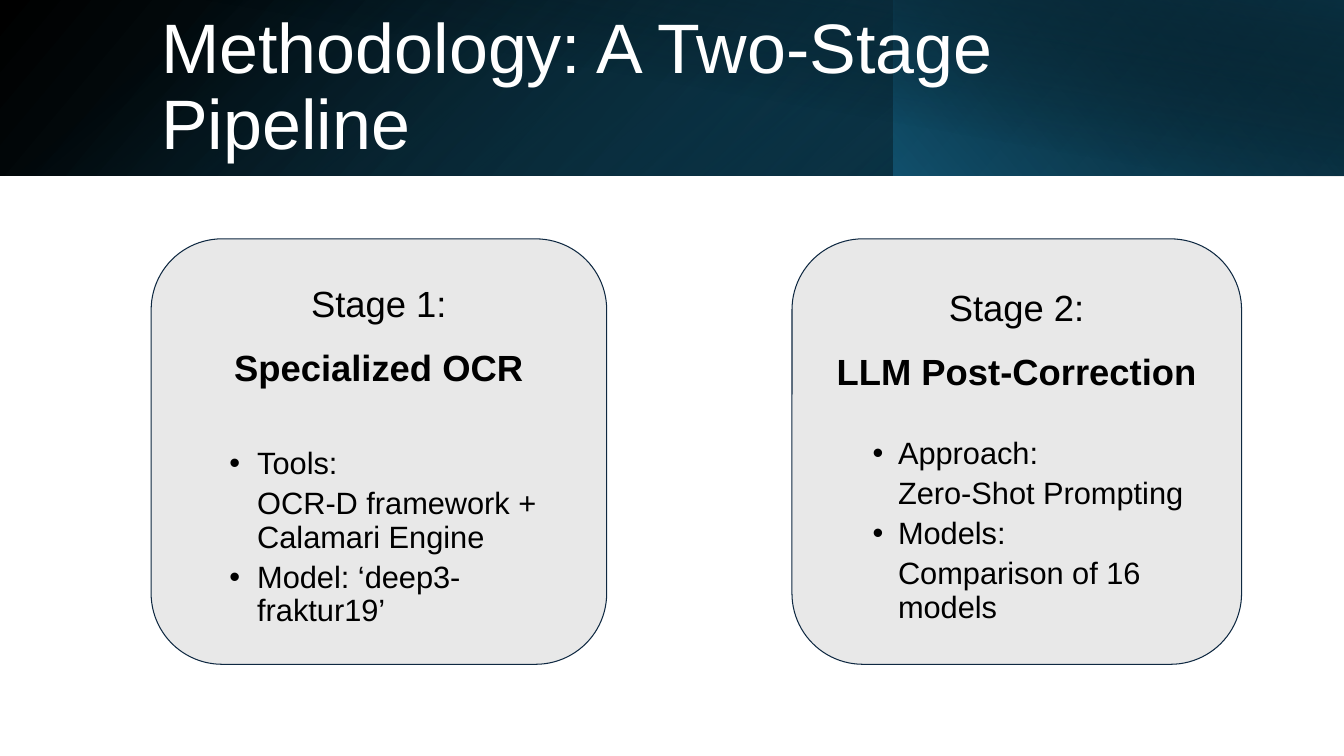
from lxml.etree import SubElement as Sub
from pptx import Presentation
from pptx.dml.color import RGBColor
from pptx.enum.shapes import MSO_SHAPE as Shape
from pptx.enum.text import MSO_ANCHOR as Anchor, MSO_AUTO_SIZE as Auto, PP_ALIGN as Align
from pptx.oxml.ns import qn
from pptx.util import Cm, Pt

WIDE, HIGH = 33.87, 19.05
TITLE = "Methodology: A Two-Stage Pipeline"
FONT = "Arial"

# left, width, height, angle, stops of (position, colour, opacity)
BANDS = [
    (0, WIDE, 4.42, 40, [(0, "000000", 100), (100, "0F4861", 100)]),
    (0, 22.55, 4.42, 50, [(0, "156082", 0), (20, "156082", 0), (100, "0A3041", 55)]),
    (22.53, 11.33, 4.42, 320, [(0, "156082", 66), (100, "000000", 30)]),
    (1.27, 32.6, 4.45, 280, [(0, "000000", 0), (50, "000000", 0), (100, "0A3041", 52)]),
]

# left, width, hanging indent, gap above the list, heading, lines of (bulleted, text)
STAGES = [
    (19.96, 11.33, 0.64, 32, ["Stage 2:", "LLM Post-Correction"], [
        (True, "Approach:"), (False, "Zero-Shot Prompting"),
        (True, "Models:"), (False, "Comparison of 16 models")]),
    (3.81, 11.48, 0.7, 42, ["Stage 1:", "Specialized OCR"], [
        (True, "Tools:"), (False, "OCR-D framework + Calamari Engine"),
        (True, "Model: ‘deep3-fraktur19’")]),
]


def rgb(code):
    return RGBColor.from_string(code)


def shade(shape, angle, stops):
    """Fill with a linear gradient whose stops may be transparent."""
    shape.fill.gradient()
    grad = shape.element.spPr.find(qn("a:gradFill"))
    for child in list(grad):
        grad.remove(child)
    ramp = Sub(grad, qn("a:gsLst"))
    for place, code, alpha in stops:
        stop = Sub(ramp, qn("a:gs"), pos=str(place * 1000))
        tone = Sub(stop, qn("a:srgbClr"), val=code)
        if alpha < 100:
            Sub(tone, qn("a:alpha"), val=str(alpha * 1000))
    Sub(grad, qn("a:lin"), ang=str(angle * 60000), scaled="0")


def indent(para, hang, bullet):
    props = para._p.get_or_add_pPr()
    props.set("marL", str(Cm(1.9)))
    props.set("indent", str(-Cm(hang) if bullet else 0))
    if bullet:
        tone = Sub(props, qn("a:buClr"))
        Sub(tone, qn("a:srgbClr"), val="000000")
        Sub(props, qn("a:buFont"), typeface=FONT)
        Sub(props, qn("a:buChar"), char="•")
    else:
        Sub(props, qn("a:buNone"))


def style(para, size, code, align, spacing, before=0, bold=False):
    para.alignment = align
    para.line_spacing = spacing
    para.space_before = Pt(before)
    font = para.font
    font.name, font.size, font.bold = FONT, Pt(size), bold
    font.color.rgb = rgb(code)


def add_band(slide, left, width, height, angle, stops):
    band = slide.shapes.add_shape(Shape.RECTANGLE, Cm(left), 0, Cm(width), Cm(height))
    band.shadow.inherit = False
    band.line.fill.background()
    shade(band, angle, stops)


def add_title(slide):
    title = slide.shapes.title
    title.left, title.top, title.width, title.height = Cm(3.81), Cm(0.81), Cm(27.48), Cm(2.87)
    title.element.getparent().append(title.element)  # in front of the bands
    frame = title.text_frame
    frame.text = TITLE
    frame.auto_size = Auto.NONE
    frame.vertical_anchor = Anchor.MIDDLE
    style(frame.paragraphs[0], 50, "FFFFFF", Align.LEFT, 0.9)


def add_stage(slide, left, width, hang, gap, heading, lines):
    card = slide.shapes.add_shape(
        Shape.ROUNDED_RECTANGLE, Cm(left), Cm(6.02), Cm(width), Cm(10.72))
    card.shadow.inherit = False
    card.fill.solid()
    card.fill.fore_color.rgb = rgb("E8E8E8")
    card.line.color.rgb = rgb("0E2841")
    card.line.width = Pt(0.75)
    frame = card.text_frame
    frame.word_wrap = True
    frame.vertical_anchor = Anchor.MIDDLE
    frame.margin_left = frame.margin_right = Cm(0.25)
    frame.margin_top = frame.margin_bottom = Cm(0.25)
    for i, text in enumerate(heading):
        para = frame.add_paragraph() if i else frame.paragraphs[0]
        para.text = text
        style(para, 26, "000000", Align.CENTER, 1.15, 10 * i, i == 1)
    for i, (bullet, text) in enumerate(lines):
        para = frame.add_paragraph()
        para.text = text
        indent(para, hang, bullet)
        style(para, 22, "000000", Align.LEFT, 0.9, 5 if i else gap)


def main():
    deck = Presentation()
    deck.slide_width, deck.slide_height = Cm(WIDE), Cm(HIGH)
    slide = deck.slides.add_slide(deck.slide_layouts[5])
    for band in BANDS:
        add_band(slide, *band)
    add_title(slide)
    for stage in STAGES:
        add_stage(slide, *stage)
    deck.save("out.pptx")


if __name__ == "__main__":
    main()
